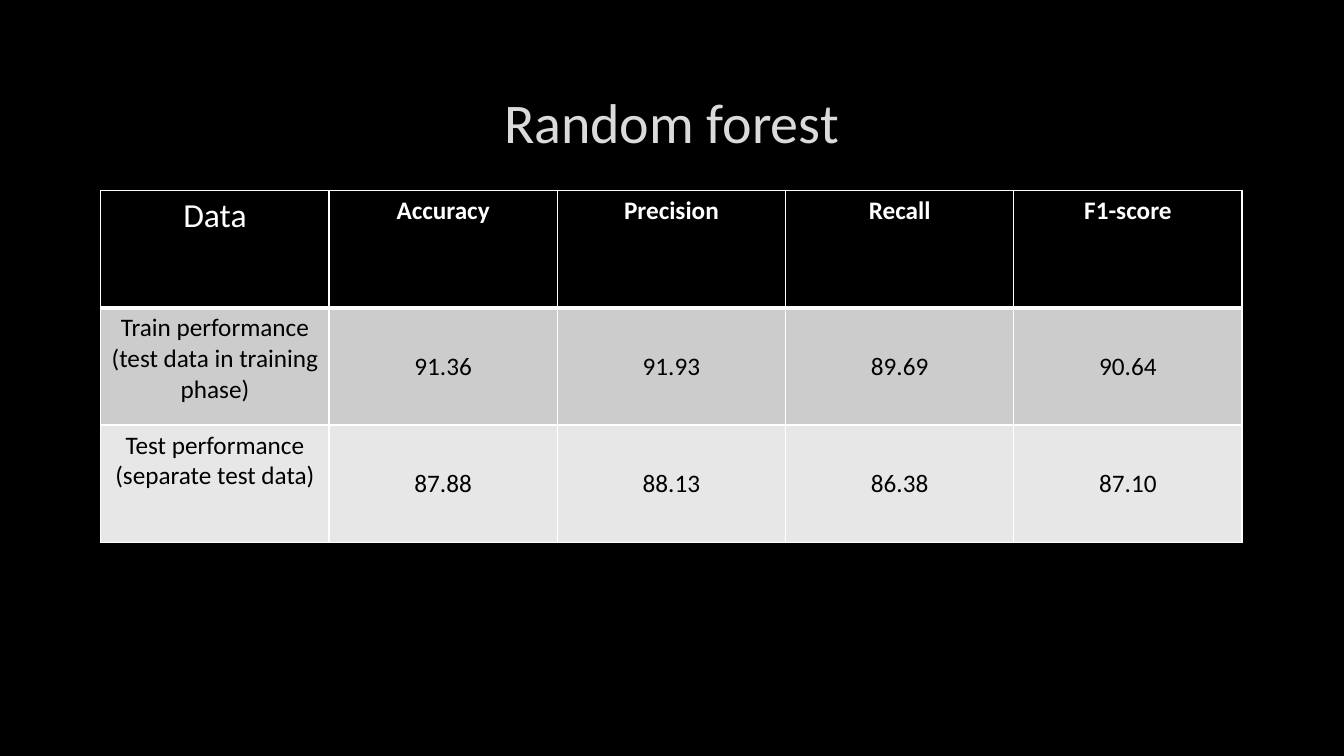
from dataclasses import dataclass

import pptx
import pptx.dml.color
import pptx.enum.text
import pptx.oxml
import pptx.oxml.ns
import pptx.util
from pptx.util import Inches


@dataclass(frozen=True)
class Theme:
    font: str = "Calibri"
    background: str = "000000"
    title: str = "DADADA"
    title_outline: str = "404040"
    header_text: str = "FFFFFF"
    body_text: str = "000000"
    border: str = "FFFFFF"
    row_fills: tuple = ("000000", "CCCCCC", "E7E7E7")
    title_size: int = 40
    corner_size: int = 24
    cell_size: int = 18
    thin_line: float = 1
    header_line: float = 3


THEME = Theme()
TITLE = "Random forest"
SCORES = [
    ["Data", "Accuracy", "Precision", "Recall", "F1-score"],
    ["Train performance\n(test data in training phase)", "91.36", "91.93", "89.69", "90.64"],
    ["Test performance\n(separate test data)", "87.88", "88.13", "86.38", "87.10"],
]


def color(value):
    return pptx.dml.color.RGBColor.from_string(value)


def format_text(text_frame, size, text_color, bold=False):
    for paragraph in text_frame.paragraphs:
        paragraph.alignment = pptx.enum.text.PP_ALIGN.CENTER
        for run in paragraph.runs:
            run.font.name = THEME.font
            run.font.size = pptx.util.Pt(size)
            run.font.bold = bold
            run.font.color.rgb = color(text_color)


def line_element(tag, width, line_color, alpha=100):
    return pptx.oxml.parse_xml(
        f'<a:{tag} {pptx.oxml.ns.nsdecls("a")} w="{pptx.util.Pt(width)}">'
        f'<a:solidFill><a:srgbClr val="{line_color}"><a:alpha val="{alpha * 1000}"/>'
        f'</a:srgbClr></a:solidFill><a:prstDash val="solid"/></a:{tag}>'
    )


def add_title(slide, left, top, width, height):
    shape = slide.shapes.add_textbox(left, top, width, height)
    text_frame = shape.text_frame
    text_frame.word_wrap = True
    text_frame.vertical_anchor = pptx.enum.text.MSO_ANCHOR.MIDDLE
    text_frame.text = TITLE
    format_text(text_frame, THEME.title_size, THEME.title)
    properties = text_frame.paragraphs[0].runs[0].font._element
    properties.insert(0, line_element("ln", 0.75, THEME.title_outline, alpha=10))


def set_borders(cell, row_index):
    widths = {
        "lnL": THEME.thin_line,
        "lnR": THEME.thin_line,
        "lnT": THEME.header_line if row_index == 1 else THEME.thin_line,
        "lnB": THEME.header_line if row_index == 0 else THEME.thin_line,
    }
    properties = cell._tc.get_or_add_tcPr()
    for position, (tag, width) in enumerate(widths.items()):
        properties.insert(position, line_element(tag, width, THEME.border))


def fill_cell(cell, text, row_index, column_index):
    is_header = row_index == 0
    is_label = column_index == 0
    cell.text_frame.text = text
    format_text(
        cell.text_frame,
        THEME.corner_size if is_header and is_label else THEME.cell_size,
        THEME.header_text if is_header else THEME.body_text,
        bold=is_header and not is_label,
    )
    if not is_header and not is_label:
        cell.vertical_anchor = pptx.enum.text.MSO_ANCHOR.MIDDLE
        cell.margin_left = cell.margin_right = Inches(0.08)
        cell.margin_top = cell.margin_bottom = Inches(0.04)
    cell.fill.solid()
    cell.fill.fore_color.rgb = color(THEME.row_fills[row_index])
    set_borders(cell, row_index)


def add_score_table(slide, left, top, width, height):
    table = slide.shapes.add_table(
        len(SCORES), len(SCORES[0]), left, top, width, height
    ).table
    for row_index, row in enumerate(SCORES):
        for column_index, text in enumerate(row):
            fill_cell(table.cell(row_index, column_index), text, row_index, column_index)


def main():
    presentation = pptx.Presentation()
    presentation.slide_width = Inches(13.33)
    presentation.slide_height = Inches(7.5)
    slide = presentation.slides.add_slide(presentation.slide_layouts[6])
    slide.background.fill.solid()
    slide.background.fill.fore_color.rgb = color(THEME.background)
    left, width = Inches(1), Inches(11.32)
    add_title(slide, left, Inches(0.67), width, Inches(1.06))
    add_score_table(slide, left, Inches(1.89), width, Inches(3.49))
    presentation.save("out.pptx")


if __name__ == "__main__":
    main()
